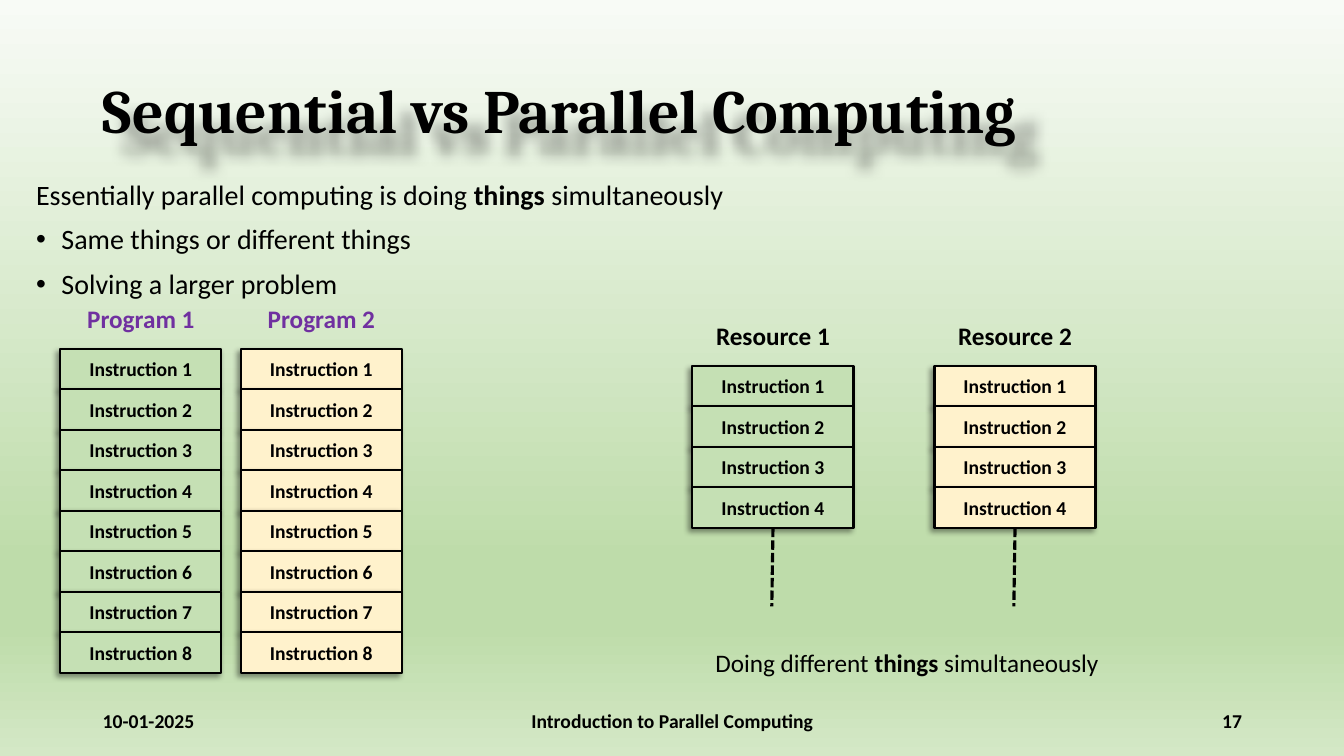
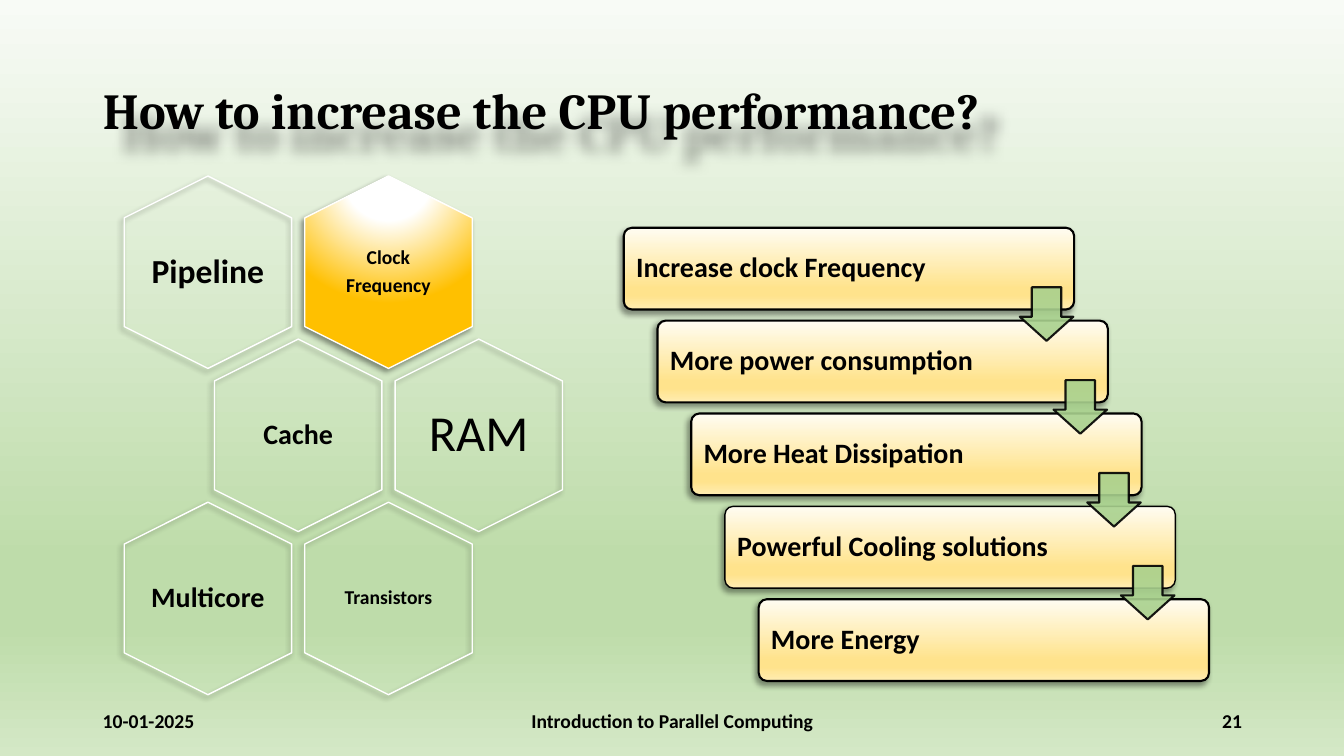
from lxml import etree
from pptx import Presentation
from pptx.dml.color import RGBColor
from pptx.enum import dml, shapes, text
from pptx.oxml.ns import qn
from pptx.util import Cm, Pt

BLACK = RGBColor(0x00, 0x00, 0x00)
WHITE = RGBColor(0xFF, 0xFF, 0xFF)
PURPLE = RGBColor(0x70, 0x30, 0xA0)
GREEN = RGBColor(0xC5, 0xE0, 0xB4)
CREAM = RGBColor(0xFF, 0xF2, 0xCC)
GOLD = RGBColor(0xFF, 0xC0, 0x00)
ARROW_GREEN = RGBColor(0xA9, 0xD1, 0x8E)
SAGE = RGBColor(0xBE, 0xDC, 0xAA)
SAND = RGBColor(0xFF, 0xE3, 0x8C)
PAGE_STOPS = [(0, RGBColor(0xF8, 0xFB, 0xF6)), (74, SAGE), (83, SAGE),
              (100, RGBColor(0xD4, 0xE8, 0xC6))]
STEP_STOPS = [(0, RGBColor(0xFF, 0xFC, 0xF2)), (74, SAND), (83, SAND),
              (100, RGBColor(0xFF, 0xEC, 0xB2))]
GLOW_STOPS = [(0, WHITE), (35, WHITE), (100, GOLD)]

LEFT, CENTER, RIGHT = (text.PP_ALIGN.LEFT, text.PP_ALIGN.CENTER,
                       text.PP_ALIGN.RIGHT)
TOP, MIDDLE = text.MSO_ANCHOR.TOP, text.MSO_ANCHOR.MIDDLE
SHAPE = shapes.MSO_SHAPE


def gradient(owner, fill, stops, radial=False):
    """Fill with several stops, downwards or around a point above the top."""
    fill.gradient()
    grad = next(owner.element.iter(qn("a:gradFill")))
    for child in list(grad):
        grad.remove(child)
    gs_list = etree.SubElement(grad, qn("a:gsLst"))
    for pos, color in stops:
        gs = etree.SubElement(gs_list, qn("a:gs"), pos=str(pos * 1000))
        etree.SubElement(gs, qn("a:srgbClr"), val=str(color))
    if radial:
        circle = etree.SubElement(grad, qn("a:path"), path="circle")
        etree.SubElement(circle, qn("a:fillToRect"), l="50000", t="-80000",
                         r="50000", b="180000")
    else:
        etree.SubElement(grad, qn("a:lin"), ang="5400000", scaled="0")


def write(sp, lines, size, color=BLACK, bold=True, align=LEFT, anchor=MIDDLE,
          font="Calibri", leading=1.0, gap=0):
    """Write one paragraph per line; text between ** marks is bold."""
    tf = sp.text_frame
    tf.word_wrap = True
    tf.vertical_anchor = anchor
    for i, line in enumerate(lines):
        p = tf.add_paragraph() if i else tf.paragraphs[0]
        p.alignment = align
        p.line_spacing = leading
        p.space_before = Pt(gap if i else 0)
        for j, part in enumerate(line.split("**")):
            r = p.add_run()
            r.text = part
            r.font.name, r.font.size = font, Pt(size)
            r.font.bold = bold or j % 2 == 1
            r.font.color.rgb = color
    return tf


prs = Presentation()
prs.slide_width, prs.slide_height = Cm(33.87), Cm(19.05)
gradient(prs.slide_master, prs.slide_master.background.fill, PAGE_STOPS)
titles, raised = [], []

# Titles and footers
for title, size, number in [("Sequential vs Parallel Computing", 44, "17"),
                            ("How to increase the CPU performance?", 36, "21")]:
    s = prs.slides.add_slide(prs.slide_layouts[5])
    sp = s.shapes.title
    sp.left, sp.top, sp.width, sp.height = Cm(2.34), Cm(1.02), Cm(29.21), Cm(3.68)
    write(sp, [title], size, font="Cambria", leading=0.9)
    titles.append(sp)
    for left, width, line, align in [
            (2.34, 7.62, "10-01-2025", LEFT),
            (11.23, 11.43, "Introduction to Parallel Computing", CENTER),
            (23.93, 7.62, number, RIGHT)]:
        sp = s.shapes.add_textbox(Cm(left), Cm(17.65), Cm(width), Cm(1.02))
        write(sp, [line], 14, align=align)
compare, performance = prs.slides

# Slide 1: introduction with bullets
sp = compare.shapes.add_textbox(Cm(0.66), Cm(4.45), Cm(30.89), Cm(3.53))
tf = write(sp, ["Essentially parallel computing is doing **things** simultaneously",
                "Same things or different things", "Solving a larger problem"],
           20, bold=False, anchor=TOP, leading=0.9, gap=10)
for p in tf.paragraphs[1:]:
    pPr = p._p.get_or_add_pPr()
    pPr.set("marL", str(Cm(0.64)))
    pPr.set("indent", str(-Cm(0.64)))
    etree.SubElement(pPr, qn("a:buFont"), typeface="Arial")
    etree.SubElement(pPr, qn("a:buChar"), char="•")

# Slide 1: instruction stacks
BOX_W, BOX_H = 4.06, 1.02
for label, color, left, top, count, fill in [
        ("Program 1", PURPLE, 1.52, 8.79, 8, GREEN),
        ("Program 2", PURPLE, 6.07, 8.79, 8, CREAM),
        ("Resource 1", BLACK, 17.45, 9.22, 4, GREEN),
        ("Resource 2", BLACK, 23.55, 9.22, 4, CREAM)]:
    sp = compare.shapes.add_textbox(Cm(left), Cm(top - 1.28), Cm(BOX_W), Cm(BOX_H))
    write(sp, [label], 18, color, align=CENTER, anchor=TOP)
    for i in range(count):
        sp = compare.shapes.add_shape(SHAPE.RECTANGLE, Cm(left),
                                      Cm(top + i * BOX_H), Cm(BOX_W), Cm(BOX_H))
        sp.fill.solid()
        sp.fill.fore_color.rgb = fill
        sp.line.color.rgb, sp.line.width = BLACK, Pt(1.5)
        write(sp, [f"Instruction {i + 1}"], 14, align=CENTER)
        raised.append(sp)
    if label.startswith("Resource"):
        x, y = left + BOX_W / 2, top + count * BOX_H
        line = compare.shapes.add_connector(shapes.MSO_CONNECTOR.STRAIGHT, Cm(x),
                                            Cm(y), Cm(x - 0.03), Cm(y + 1.98))
        line.line.color.rgb, line.line.width = BLACK, Pt(2.25)
        line.line.dash_style = dml.MSO_LINE.SQUARE_DOT
        etree.SubElement(line.element.spPr, qn("a:effectLst"))

sp = compare.shapes.add_textbox(Cm(17.78), Cm(16.18), Cm(10.62), Cm(1.02))
write(sp, ["Doing different **things** simultaneously"], 18, bold=False, anchor=TOP)

# Slide 2: honeycomb, each second row shifted by half a cell
HEX_W, HEX_H, TEXT_W, TEXT_H = 4.85, 4.22, 2.9, 3.33
for row, col, lines, size in [
        (0, 1, ["Clock", "Frequency"], 14), (0, 0, ["Pipeline"], 24),
        (1, 0, ["Cache"], 20), (1, 1, ["RAM"], 36),
        (2, 1, ["Transistors"], 14), (2, 0, ["Multicore"], 20)]:
    x = 5.24 + 4.55 * (col + row % 2 / 2)
    y = 6.86 + 4.11 * row
    sp = performance.shapes.add_shape(SHAPE.HEXAGON, Cm(x - HEX_W / 2),
                                      Cm(y - HEX_H / 2), Cm(HEX_W), Cm(HEX_H))
    sp.rotation = 90
    if lines[0] == "Clock":
        gradient(sp, sp.fill, GLOW_STOPS, radial=True)
    else:
        sp.fill.background()
    sp.line.color.rgb, sp.line.width = WHITE, Pt(1)
    raised.append(sp)
    sp = performance.shapes.add_textbox(Cm(x - TEXT_W / 2), Cm(y - TEXT_H / 2),
                                        Cm(TEXT_W), Cm(TEXT_H))
    tf = write(sp, lines, size, bold=lines[0] != "RAM", align=CENTER,
               leading=0.9, gap=5)
    tf.margin_left = tf.margin_right = 0

# Slide 2: descending steps
steps = ["Increase clock Frequency", "More power consumption",
         "More Heat Dissipation", "Powerful Cooling solutions", "More Energy"]
STEP_X, STEP_Y = 0.85, 2.34
for i, step in enumerate(steps):
    sp = performance.shapes.add_shape(SHAPE.ROUNDED_RECTANGLE,
                                      Cm(15.72 + i * STEP_X), Cm(5.74 + i * STEP_Y),
                                      Cm(11.35), Cm(2.06))
    sp.adjustments[0] = 0.1
    gradient(sp, sp.fill, STEP_STOPS)
    sp.line.color.rgb, sp.line.width = BLACK, Pt(1 if i == 3 else 1.5)
    write(sp, [step], 20, leading=0.9)
    raised.append(sp)

# Slide 2: arrows between the steps
for i in range(len(steps) - 1):
    sp = performance.shapes.add_shape(SHAPE.DOWN_ARROW, Cm(25.7 + i * STEP_X),
                                      Cm(7.24 + i * STEP_Y), Cm(1.35), Cm(1.35))
    sp.adjustments[0], sp.adjustments[1] = 0.55, 0.45
    sp.fill.solid()
    sp.fill.fore_color.rgb = ARROW_GREEN
    sp.line.color.rgb, sp.line.width = BLACK, Pt(1.5)
    sp.shadow.inherit = False
    for clr in sp.element.spPr.iter(qn("a:srgbClr")):
        etree.SubElement(clr, qn("a:alpha"), val="90000")

# Shadows: wide under the titles, tight under the boxes
for group, blur, dist, angle in [(titles, 10, 20, 45), (raised, 4, 3, 135)]:
    for sp in group:
        sp.shadow.inherit = False
        effects = sp.element.spPr.find(qn("a:effectLst"))
        shadow = etree.SubElement(effects, qn("a:outerShdw"), blurRad=str(Pt(blur)),
                                  dist=str(Pt(dist)), dir=str(angle * 60000),
                                  algn="tl", rotWithShape="0")
        clr = etree.SubElement(shadow, qn("a:srgbClr"), val=str(BLACK))
        etree.SubElement(clr, qn("a:alpha"), val="40000")

prs.save("out.pptx")
